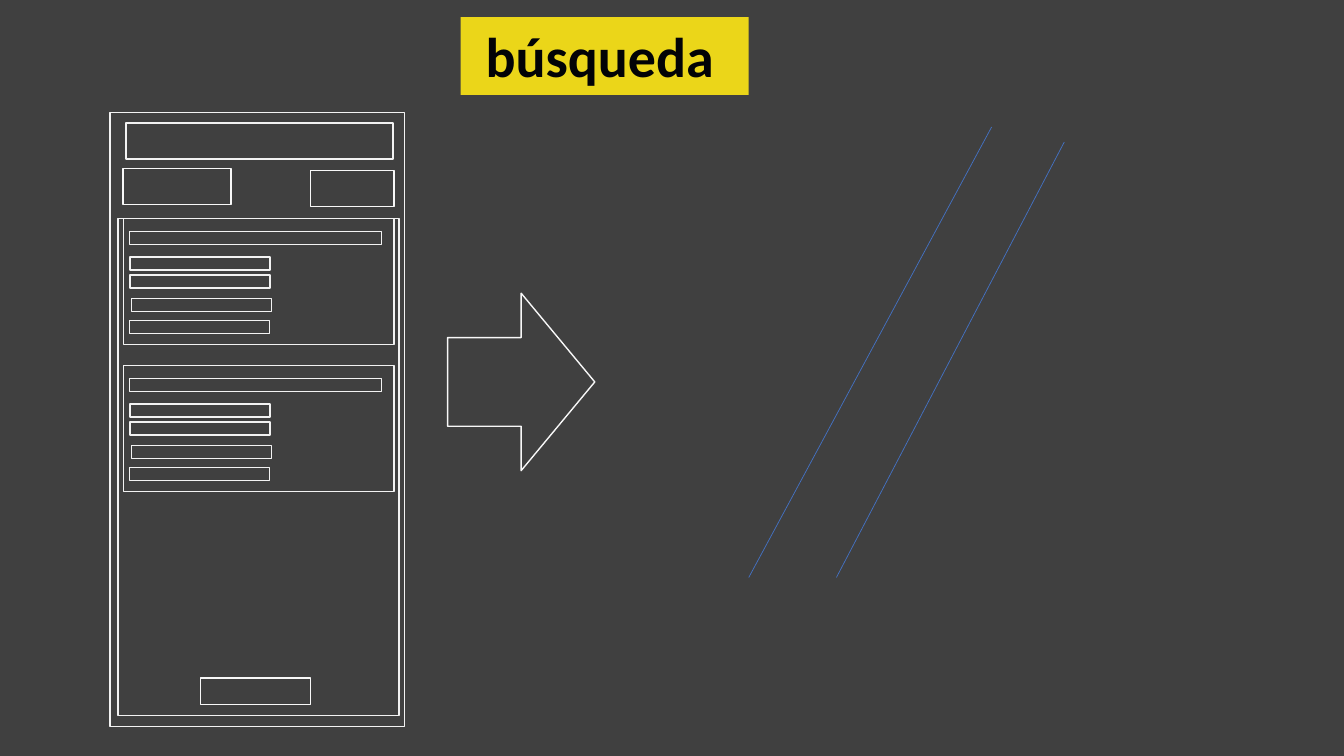
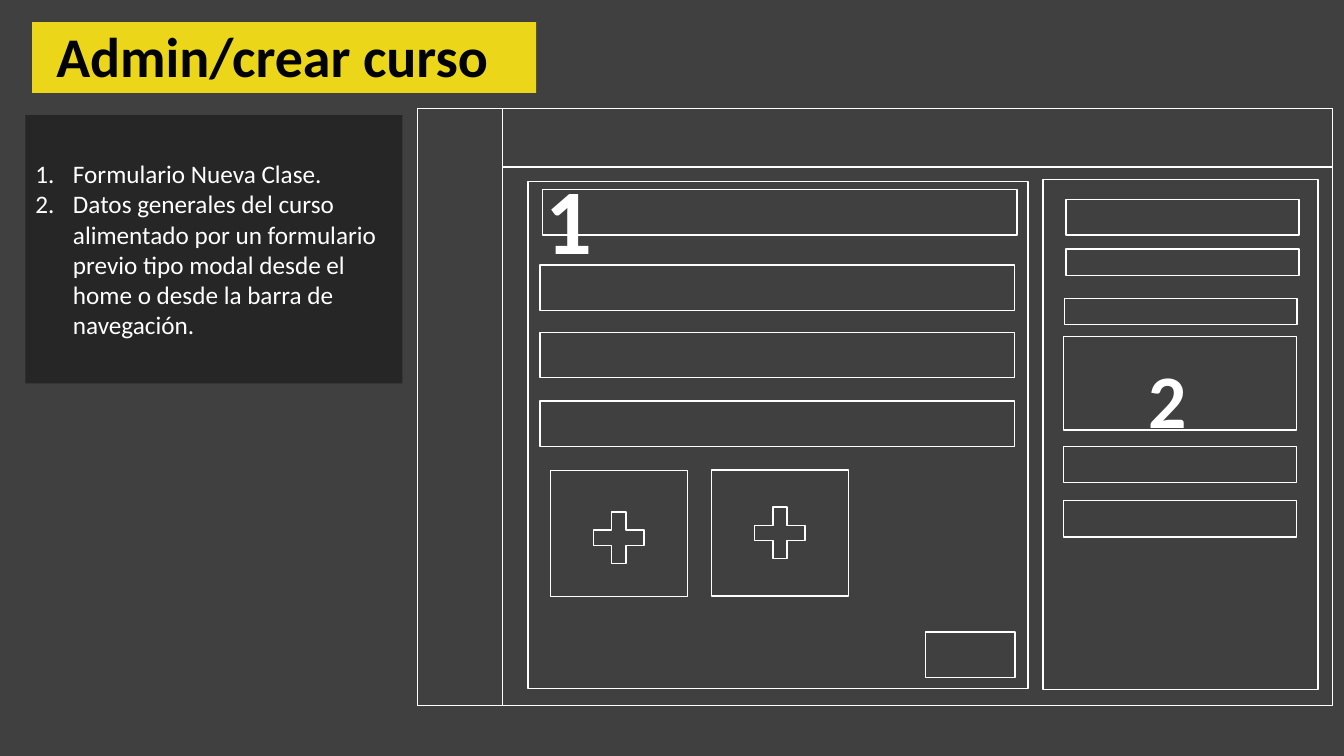
from typing import NamedTuple

from pptx import Presentation
from pptx.dml.color import RGBColor
from pptx.enum.shapes import MSO_CONNECTOR, MSO_SHAPE
from pptx.enum.text import MSO_ANCHOR, PP_ALIGN
from pptx.oxml.ns import qn
from pptx.shapes.autoshape import Shape
from pptx.shapes.shapetree import _BaseGroupShapes
from pptx.slide import Slide
from pptx.text.text import _Paragraph
from pptx.util import Cm, Pt

RECTANGLE = MSO_SHAPE.RECTANGLE
RIGHT_ARROW = MSO_SHAPE.RIGHT_ARROW
CROSS = MSO_SHAPE.CROSS
STRAIGHT = MSO_CONNECTOR.STRAIGHT
MIDDLE = MSO_ANCHOR.MIDDLE
LEFT = PP_ALIGN.LEFT

FONT = "Calibri"
BACKGROUND = "404040"
PANEL = "262626"
YELLOW = "EBD619"
INK = "020306"
WHITE = "FFFFFF"
LIGHT = "F2F2F2"
PALE = "F8F8F8"
BLUE = "4472C4"


class Box(NamedTuple):
    left: float
    top: float
    width: float
    height: float


class Segment(NamedTuple):
    start_x: float
    start_y: float
    end_x: float
    end_y: float


PHONE_FRAMES = [Box(2.77, 2.84, 7.42, 15.47), Box(2.97, 5.51, 7.09, 12.52), Box(3.18, 3.1, 6.73, 0.91)]
PHONE_BUTTONS = [Box(3.1, 4.24, 2.72, 0.91), Box(7.82, 4.29, 2.11, 0.91), Box(5.05, 17.09, 2.77, 0.66)]
CARD_TOPS = [5.51, 9.21]
CARD_ROWS = [(0.16, 0.97), (0.16, 1.42), (0.19, 2.01), (0.15, 2.57)]
DIAGONALS = [Segment(24.99, 3.2, 18.87, 14.55), Segment(26.82, 3.58, 21.08, 14.55)]

PAGE_FRAMES = [
    Box(10.52, 2.74, 23.06, 15.04),
    Box(12.67, 2.74, 20.91, 1.47),
    Box(10.52, 2.74, 2.15, 15.04),
    Box(13.31, 4.57, 12.6, 12.78),
    Box(26.29, 4.52, 6.93, 12.85),
]
SIDE_FIELDS = [
    (26.87, 5.03, 0.89),
    (26.87, 6.28, 0.66),
    (26.82, 7.52, 0.66),
    (26.8, 8.48, 2.36),
    (26.8, 11.25, 0.91),
    (26.8, 12.62, 0.91),
]
FORM_FIELDS = [(13.67, 4.78), (13.61, 6.68), (13.61, 8.38), (13.61, 10.11)]
TILES = [(13.87, 11.86, 1.04), (17.93, 11.84, 0.94)]
NOTES = [
    "Formulario Nueva Clase.",
    "Datos generales del curso alimentado por un formulario previo tipo modal "
    "desde el home o desde la barra de navegación.",
]


def color(value: str) -> RGBColor:
    return RGBColor.from_string(value)


def place(box: Box) -> tuple[Cm, Cm, Cm, Cm]:
    return Cm(box.left), Cm(box.top), Cm(box.width), Cm(box.height)


def add_outline(shapes: _BaseGroupShapes, box: Box, line: str, kind: MSO_SHAPE = RECTANGLE) -> Shape:
    shape = shapes.add_shape(kind, *place(box))
    shape.shadow.inherit = False
    shape.fill.background()
    shape.line.color.rgb = color(line)
    shape.line.width = Pt(1)
    return shape


def add_block(slide: Slide, box: Box, fill: str) -> Shape:
    shape = slide.shapes.add_shape(RECTANGLE, *place(box))
    shape.shadow.inherit = False
    shape.fill.solid()
    shape.fill.fore_color.rgb = color(fill)
    shape.line.fill.background()
    return shape


def write(paragraph: _Paragraph, text: str, size: int, ink: str, bold: bool = False) -> None:
    paragraph.text = text
    paragraph.alignment = LEFT
    paragraph.font.name = FONT
    paragraph.font.size = Pt(size)
    paragraph.font.bold = bold
    paragraph.font.color.rgb = color(ink)


def add_label(slide: Slide, box: Box, text: str, size: int, ink: str) -> None:
    frame = slide.shapes.add_textbox(*place(box)).text_frame
    frame.word_wrap = True
    write(frame.paragraphs[0], text, size, ink, bold=True)


def add_title(slide: Slide, band: Box, label: Box, text: str) -> None:
    add_block(slide, band, YELLOW)
    add_label(slide, label, text, 40, INK)


def number(paragraph: _Paragraph) -> None:
    properties = paragraph._p.get_or_add_pPr()
    properties.set("marL", str(Cm(0.95)))
    properties.set("indent", str(-Cm(0.95)))
    bullet = properties.makeelement(qn("a:buAutoNum"), {"type": "arabicPeriod"})
    properties.append(bullet)


def add_notes_panel(slide: Slide, box: Box, items: list[str]) -> None:
    frame = add_block(slide, box, PANEL).text_frame
    frame.word_wrap = True
    frame.vertical_anchor = MIDDLE
    for index, item in enumerate(items):
        paragraph = frame.add_paragraph() if index else frame.paragraphs[0]
        write(paragraph, item, 18, WHITE)
        number(paragraph)


def add_segment(slide: Slide, segment: Segment) -> None:
    connector = slide.shapes.add_connector(STRAIGHT, *(Cm(value) for value in segment))
    connector.line.color.rgb = color(BLUE)
    connector.line.width = Pt(0.5)
    properties = connector._element.spPr
    properties.append(properties.makeelement(qn("a:effectLst"), {}))


def add_card(shapes: _BaseGroupShapes, top: float) -> None:
    left = 3.12
    add_outline(shapes, Box(left, top, 6.81, 3.18), LIGHT)
    add_outline(shapes, Box(left + 0.15, top + 0.33, 6.35, 0.33), LIGHT)
    for indent, drop in CARD_ROWS:
        add_outline(shapes, Box(left + indent, top + drop, 3.53, 0.33), LIGHT)


def add_slide(presentation: Presentation) -> Slide:
    slide = presentation.slides.add_slide(presentation.slide_layouts[6])
    slide.background.fill.solid()
    slide.background.fill.fore_color.rgb = color(BACKGROUND)
    return slide


def build_search(presentation: Presentation) -> None:
    slide = add_slide(presentation)
    phone = slide.shapes.add_group_shape().shapes
    for box in PHONE_FRAMES:
        add_outline(phone, box, LIGHT)
    for top in CARD_TOPS:
        add_card(phone, top)
    for box in PHONE_BUTTONS:
        add_outline(phone, box, PALE)
    add_outline(slide.shapes, Box(11.28, 7.39, 3.71, 4.47), PALE, RIGHT_ARROW)
    for segment in DIAGONALS:
        add_segment(slide, segment)
    add_title(slide, Box(11.61, 0.43, 7.26, 1.96), Box(11.99, 0.43, 7.8, 1.96), "búsqueda")


def build_course_form(presentation: Presentation) -> None:
    slide = add_slide(presentation)
    for box in PAGE_FRAMES:
        add_outline(slide.shapes, box, WHITE)
    add_title(slide, Box(0.81, 0.56, 12.7, 1.78), Box(1.17, 0.43, 12.7, 1.96), "Admin/crear curso")
    add_notes_panel(slide, Box(0.64, 2.9, 9.5, 6.76), NOTES)
    for left, top, height in SIDE_FIELDS:
        add_outline(slide.shapes, Box(left, top, 5.87, height), WHITE)
    add_label(slide, Box(28.7, 8.76, 1.12, 2.57), "2", 54, WHITE)
    add_label(slide, Box(13.51, 3.96, 1.12, 3.07), "1", 66, WHITE)
    for left, top in FORM_FIELDS:
        add_outline(slide.shapes, Box(left, top, 11.96, 1.14), WHITE)
    add_outline(slide.shapes, Box(23.32, 15.93, 2.26, 1.14), WHITE)
    for left, top, drop in TILES:
        add_outline(slide.shapes, Box(left, top, 3.45, 3.18), WHITE)
        plus = add_outline(slide.shapes, Box(left + 1.09, top + drop, 1.27, 1.3), WHITE, CROSS)
        plus.adjustments[0] = 0.36


def main() -> None:
    presentation = Presentation()
    presentation.slide_width = Cm(33.87)
    presentation.slide_height = Cm(19.05)
    build_search(presentation)
    build_course_form(presentation)
    presentation.save("out.pptx")


if __name__ == "__main__":
    main()
